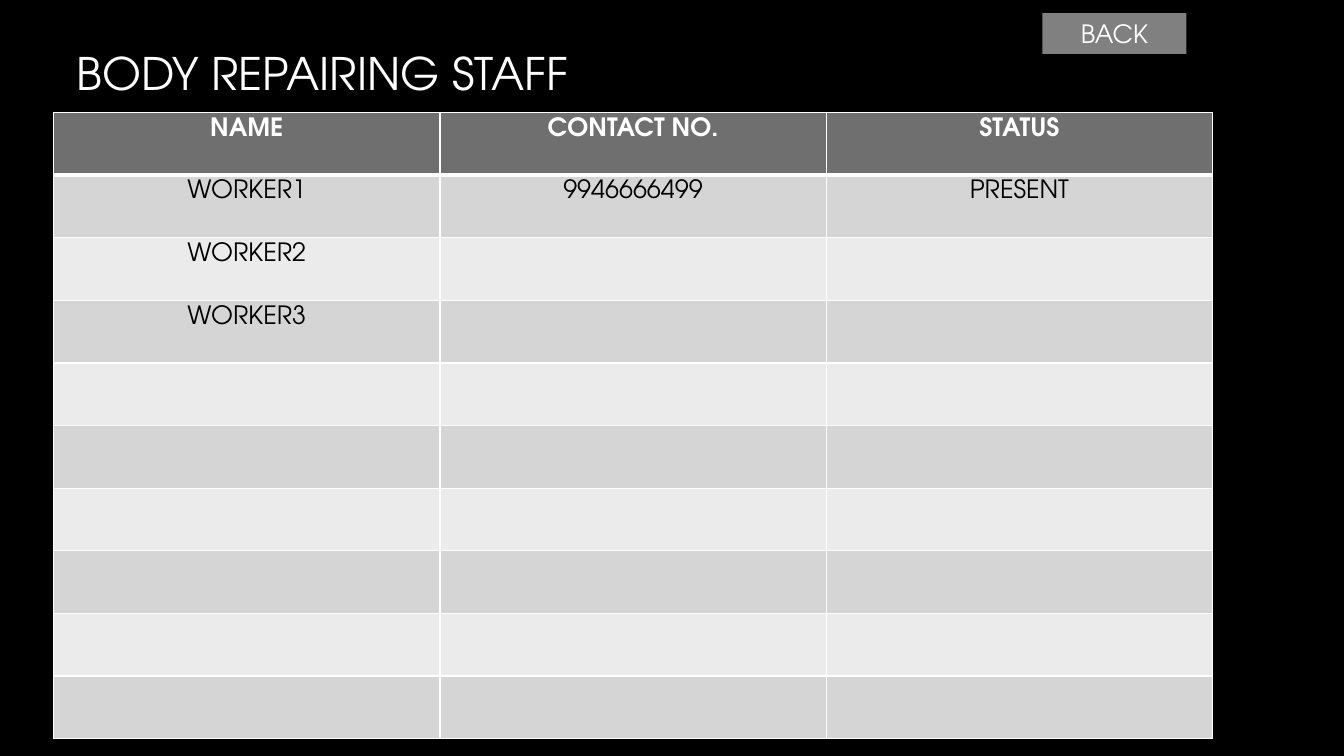
"""Build the body repairing staff slide."""
from typing import NamedTuple

from lxml import etree
from pptx import Presentation
from pptx.dml.color import RGBColor
from pptx.enum import shapes, text
from pptx.oxml import ns
from pptx.util import Cm, Pt

FONT = "TeX Gyre Adventor"
BLACK = RGBColor(0x00, 0x00, 0x00)
WHITE = RGBColor(0xFF, 0xFF, 0xFF)
BUTTON_GRAY = RGBColor(0x80, 0x80, 0x80)
HEADER_GRAY = RGBColor(0x6F, 0x6F, 0x6F)
BANDS = (RGBColor(0xEB, 0xEB, 0xEB), RGBColor(0xD5, 0xD5, 0xD5))
ROW_COUNT = 10
TABLE_WIDTH = Cm(29.21)
TABLE_HEIGHT = Cm(15.77)


class Staff(NamedTuple):
    name: str
    contact: str = ""
    status: str = ""


STAFF_ROWS = [
    Staff("NAME", "CONTACT NO.", "STATUS"),
    Staff("WORKER1", "9946666499", "PRESENT"),
    Staff("WORKER2"),
    Staff("WORKER3"),
]


def style_text(para, size: float, color: RGBColor, align, bold: bool = False) -> None:
    para.alignment = align
    font = para.font
    font.name, font.size, font.bold = FONT, Pt(size), bold
    font.color.rgb = color


def add_border(cell, side: str, points: float) -> None:
    properties = cell._tc.get_or_add_tcPr()
    line = etree.SubElement(properties, ns.qn(f"a:ln{side}"), w=str(Pt(points)))
    fill = etree.SubElement(line, ns.qn("a:solidFill"))
    etree.SubElement(fill, ns.qn("a:srgbClr"), val=str(WHITE))


def add_title(page) -> None:
    box = page.shapes.add_textbox(Cm(1.68), Cm(0), Cm(29.21), Cm(3.68))
    frame = box.text_frame
    frame.word_wrap = True
    frame.vertical_anchor = text.MSO_ANCHOR.MIDDLE
    frame.text = "BODY REPAIRING STAFF"
    style_text(frame.paragraphs[0], 32, WHITE, text.PP_ALIGN.LEFT)


def add_staff_table(page) -> None:
    table = page.shapes.add_table(
        ROW_COUNT, len(Staff._fields), Cm(1.35), Cm(2.84),
        TABLE_WIDTH, TABLE_HEIGHT).table
    blank_rows = [Staff("")] * (ROW_COUNT - len(STAFF_ROWS))
    for index, staff in enumerate(STAFF_ROWS + blank_rows):
        header = index == 0
        for cell, value in zip(table.rows[index].cells, staff):
            cell.text = value
            style_text(cell.text_frame.paragraphs[0], 18,
                       WHITE if header else BLACK, text.PP_ALIGN.CENTER, header)
            add_border(cell, "L", 1)
            add_border(cell, "R", 1)
            add_border(cell, "T", 3 if index == 1 else 1)
            add_border(cell, "B", 3 if header else 1)
            cell.fill.solid()
            cell.fill.fore_color.rgb = HEADER_GRAY if header else BANDS[index % 2]


def add_back_button(page) -> None:
    button = page.shapes.add_shape(
        shapes.MSO_SHAPE.RECTANGLE, Cm(26.27), Cm(0.33), Cm(3.63), Cm(1.03))
    button.shadow.inherit = False
    button.fill.solid()
    button.fill.fore_color.rgb = BUTTON_GRAY
    button.line.fill.background()
    frame = button.text_frame
    frame.vertical_anchor = text.MSO_ANCHOR.MIDDLE
    frame.text = "BACK"
    style_text(frame.paragraphs[0], 18, WHITE, text.PP_ALIGN.CENTER)


def main() -> None:
    deck = Presentation()
    deck.slide_width, deck.slide_height = Cm(33.87), Cm(19.05)
    page = deck.slides.add_slide(deck.slide_layouts[6])
    page.background.fill.solid()
    page.background.fill.fore_color.rgb = BLACK
    add_title(page)
    add_staff_table(page)
    add_back_button(page)
    deck.save("out.pptx")


if __name__ == "__main__":
    main()
